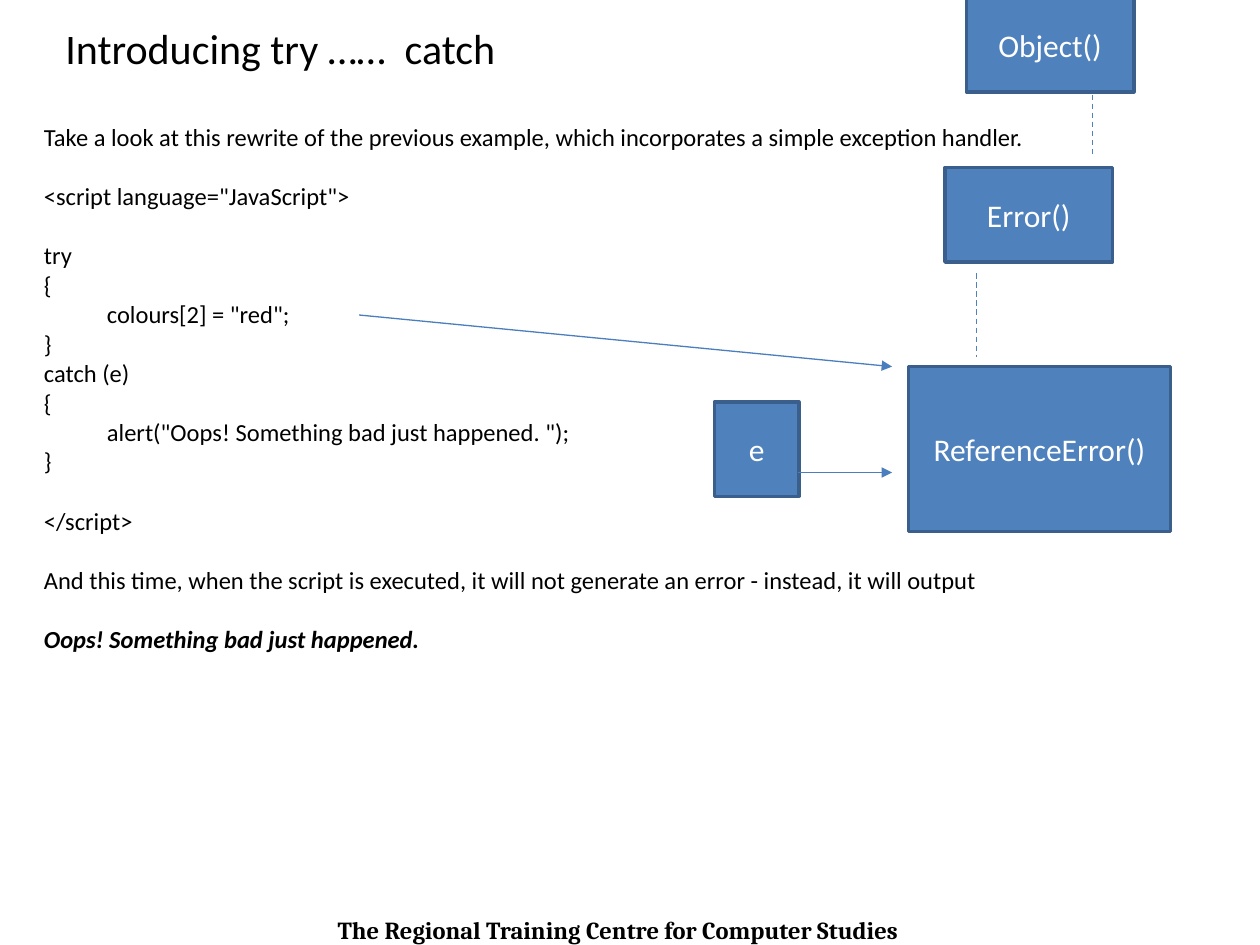
import pptx
import pptx.util
import pptx.dml.color
import pptx.enum.dml
import pptx.enum.shapes
import pptx.enum.text
import pptx.oxml
import pptx.oxml.ns

Inches, Pt = pptx.util.Inches, pptx.util.Pt
ALIGN = pptx.enum.text.PP_ALIGN

TITLE = "Introducing try ……  catch"
FOOTER = "The Regional Training Centre for Computer Studies"
BLOCKS = [
    ["Take a look at this rewrite of the previous example, "
     "which incorporates a simple exception handler."],
    ['<script language="JavaScript">'],
    ["try", "{", '\tcolours[2] = "red";', "}",
     "catch (e)", "{", '\talert("Oops! Something bad just happened. ");', "}"],
    ["</script>"],
    ["And this time, when the script is executed, it will not generate an error"
     " - instead, it will output"],
]
OUTPUT = "Oops! Something bad just happened."
OBJECTS = [
    ("e", 5.67, 3.19, 0.67, 0.75),
    ("ReferenceError()", 7.21, 2.91, 2.08, 1.31),
    ("Error()", 7.5, 1.33, 1.33, 0.75),
    ("Object()", 7.67, -0.02, 1.33, 0.75),
]
ARROWS = [(6.33, 3.75, 7.08, 3.75), (2.85, 2.5, 7.08, 2.91)]
INHERITANCE = [(7.75, 2.17, 7.75, 2.83), (8.67, 0.75, 8.67, 1.25)]
BLANK_LINE = 17


def rgb(value):
    return pptx.dml.color.RGBColor.from_string(value)


def write(paragraph, words, size, colour="000000", face="Calibri", bold=False, italic=False):
    run = paragraph.add_run()
    run.text = words
    run.font.size, run.font.name = Pt(size), face
    run.font.bold, run.font.italic = bold, italic
    run.font.color.rgb = rgb(colour)


def add_text_frame(slide, *box):
    frame = slide.shapes.add_textbox(*map(Inches, box)).text_frame
    frame.word_wrap = True
    return frame


def add_object(slide, label, *box):
    node = slide.shapes.add_shape(pptx.enum.shapes.MSO_SHAPE.RECTANGLE, *map(Inches, box))
    node.shadow.inherit = False
    node.fill.solid()
    node.fill.fore_color.rgb = rgb("4F81BD")
    node.line.color.rgb = rgb("3A5F8C")
    node.line.width = Pt(2)
    frame = node.text_frame
    frame.word_wrap = True
    frame.vertical_anchor = pptx.enum.text.MSO_ANCHOR.MIDDLE
    frame.paragraphs[0].alignment = ALIGN.CENTER
    write(frame.paragraphs[0], label, 18, "FFFFFF")


def add_link(slide, ends, colour):
    link = slide.shapes.add_connector(
        pptx.enum.shapes.MSO_CONNECTOR.STRAIGHT, *map(Inches, ends))
    link.line.color.rgb = rgb(colour)
    link.line.width = Pt(0.75)
    link.element.spPr.append(pptx.oxml.parse_xml(
        "<a:effectLst %s/>" % pptx.oxml.ns.nsdecls("a")))
    return link


def main():
    deck = pptx.Presentation()
    deck.slide_width, deck.slide_height = Inches(10), Inches(7.5)
    slide = deck.slides.add_slide(deck.slide_layouts[6])

    footer = add_text_frame(slide, 0.25, 7.21, 9.31, 0.34).paragraphs[0]
    footer.alignment = ALIGN.CENTER
    write(footer, FOOTER, 14, face="Cambria", bold=True)

    write(add_text_frame(slide, 0.42, 0.13, 7.83, 0.5).paragraphs[0], TITLE, 24)

    body = add_text_frame(slide, 0.25, 0.92, 8.58, 4.81)
    for block_no, block in enumerate(BLOCKS + [[OUTPUT]]):
        for line_no, line in enumerate(block):
            first = block_no == line_no == 0
            paragraph = body.paragraphs[0] if first else body.add_paragraph()
            if block_no and line_no == 0:
                paragraph.space_before = Pt(BLANK_LINE)
            is_output = line == OUTPUT
            write(paragraph, line, 14, bold=is_output, italic=is_output)

    for node in OBJECTS:
        add_object(slide, *node)
    for ends in INHERITANCE:
        add_link(slide, ends, "4F81BD").line.dash_style = pptx.enum.dml.MSO_LINE.DASH
    for ends in ARROWS:
        arrow = add_link(slide, ends, "4B7EBC")
        arrow.line._get_or_add_ln().append(pptx.oxml.parse_xml(
            '<a:tailEnd type="triangle" %s/>' % pptx.oxml.ns.nsdecls("a")))

    deck.save("out.pptx")


if __name__ == "__main__":
    main()
